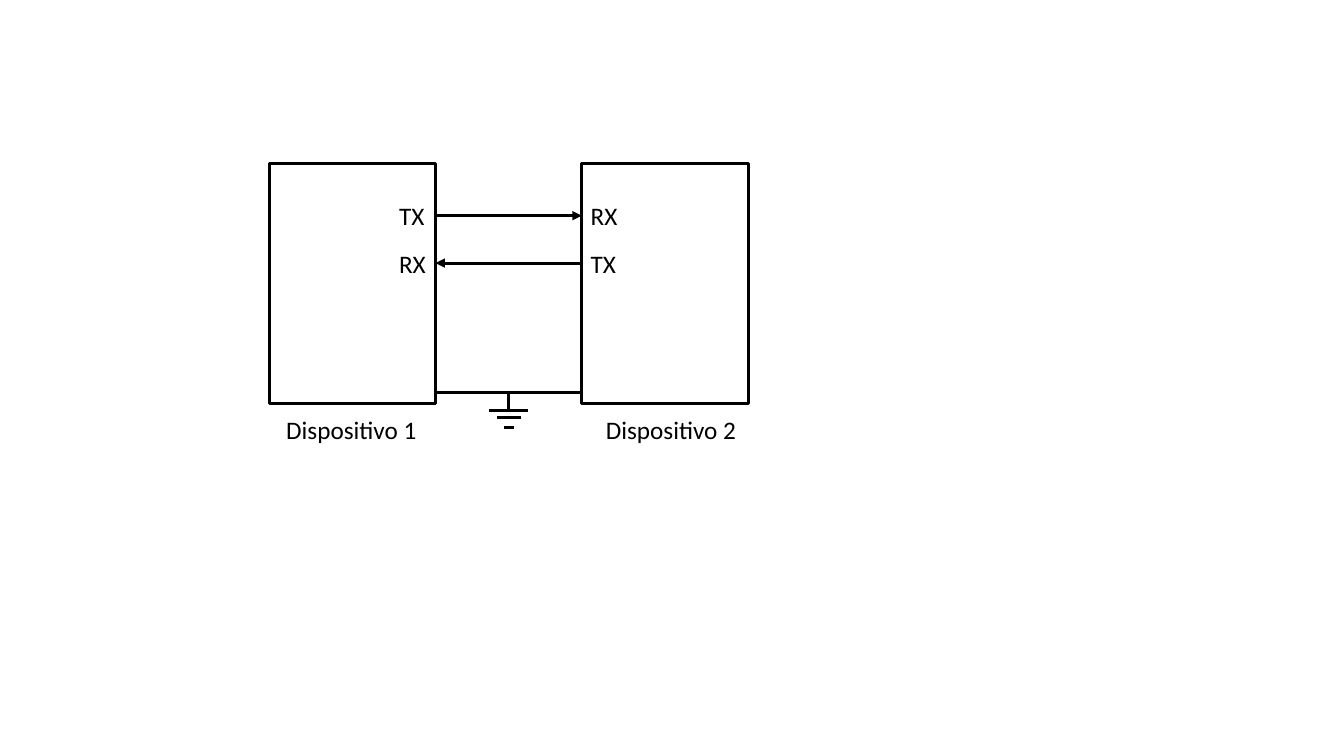
from dataclasses import dataclass

from lxml.etree import SubElement as Sub
from pptx import Presentation
from pptx.dml.color import RGBColor as Color
from pptx.enum.shapes import MSO_CONNECTOR as Link, MSO_SHAPE as Shape
from pptx.enum.text import MSO_AUTO_SIZE as Fit
from pptx.oxml.ns import qn
from pptx.util import Inches, Pt


@dataclass(frozen=True)
class Theme:
    ink: Color = Color(0, 0, 0)
    fill: Color = Color(255, 255, 255)
    font: str = "Calibri"
    size: float = 18
    line: float = 2.25


THEME = Theme()


def add_label(slide, text, left, top, width):
    label = slide.shapes.add_textbox(Inches(left), Inches(top), Inches(width), Inches(0.4))
    frame = label.text_frame
    frame.text = text
    frame.word_wrap = False
    frame.auto_size = Fit.SHAPE_TO_FIT_TEXT
    font = frame.paragraphs[0].runs[0].font
    font.name, font.size = THEME.font, Pt(THEME.size)
    font.color.rgb = THEME.ink


def add_wire(slide, start, end, arrow=False):
    ends = [Inches(n) for n in (*start, *end)]
    wire = slide.shapes.add_connector(Link.STRAIGHT, *ends)
    wire.line.color.rgb = THEME.ink
    wire.line.width = Pt(THEME.line)
    props = wire.element.spPr
    if arrow:
        Sub(props.find(qn("a:ln")), qn("a:tailEnd"), type="triangle")
    Sub(props, qn("a:effectLst"))


def add_device(slide, box, name, shift, pins, inset):
    left, top, width, height = box
    body = slide.shapes.add_shape(Shape.RECTANGLE, *[Inches(n) for n in box])
    body.shadow.inherit = False
    body.fill.solid()
    body.fill.fore_color.rgb = THEME.fill
    body.line.color.rgb = THEME.ink
    body.line.width = Pt(THEME.line)
    for row, pin in enumerate(pins):
        add_label(slide, pin, left + inset, top + 0.32 + row * 0.47, 0.47)
    add_label(slide, name, left + shift, top + height + 0.06, 1.51)


def add_bus(slide, box):
    left, top, width, height = box
    right, base = left + width, top + height
    add_wire(slide, (left, top), (right, top), arrow=True)
    add_wire(slide, (right, top + 0.47), (left, top + 0.47), arrow=True)
    add_wire(slide, (left, base), (right, base))
    add_ground(slide, left + width / 2, base)


def add_ground(slide, mid, top):
    add_wire(slide, (mid, top), (mid, top + 0.17))
    for drop, half in ((0.18, 0.19), (0.25, 0.12), (0.35, 0.05)):
        add_wire(slide, (mid + half, top + drop), (mid - half, top + drop))


def main():
    deck = Presentation()
    deck.slide_width, deck.slide_height = Inches(13.33), Inches(7.5)
    slide = deck.slides.add_slide(deck.slide_layouts[6])
    add_device(slide, (2.67, 1.62, 1.65, 2.38), "Dispositivo 1", 0.07, ("TX", "RX"), 1.19)
    add_device(slide, (5.77, 1.62, 1.65, 2.38), "Dispositivo 2", 0.14, ("RX", "TX"), -0.01)
    add_bus(slide, (4.32, 2.14, 1.45, 1.75))
    deck.save("out.pptx")


if __name__ == "__main__":
    main()
